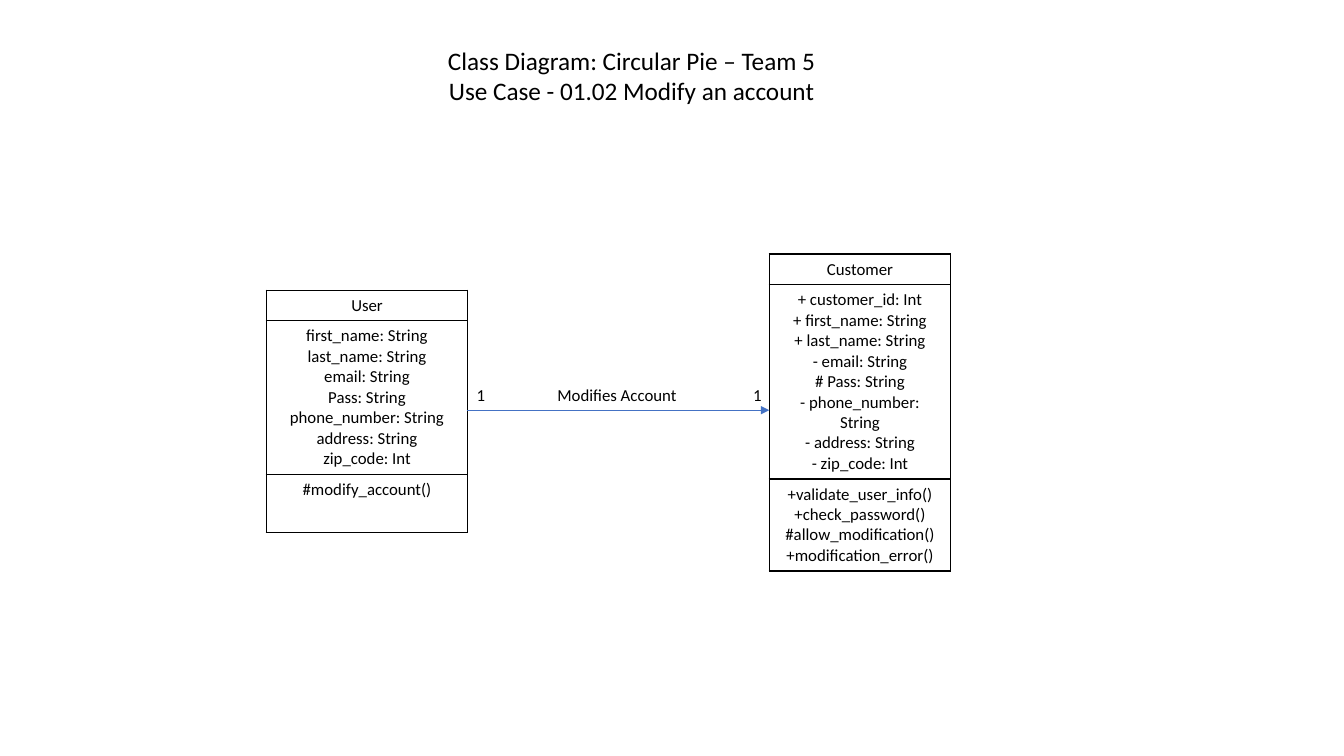
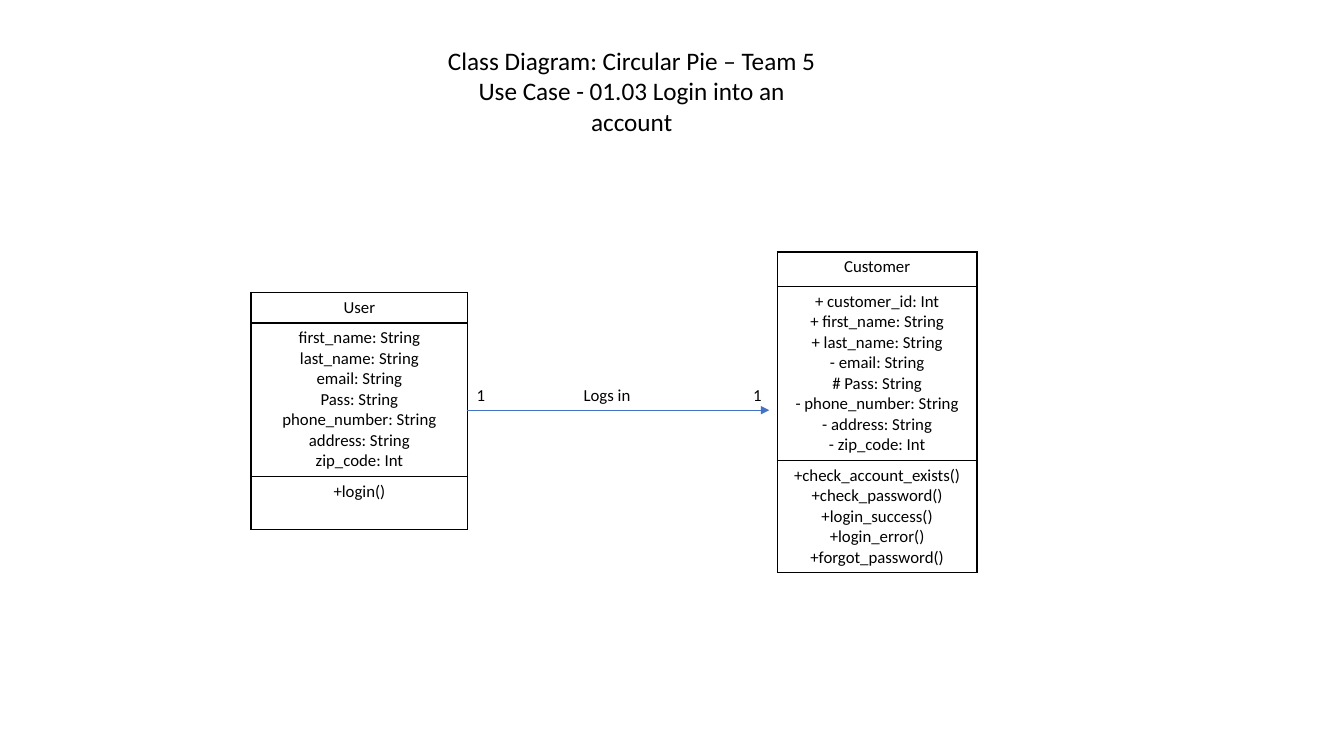
from lxml.etree import SubElement
from pptx import Presentation
from pptx.dml.color import RGBColor
from pptx.enum.shapes import MSO_CONNECTOR
from pptx.enum.text import MSO_ANCHOR, MSO_AUTO_SIZE, PP_ALIGN
from pptx.oxml.ns import qn
from pptx.util import Inches, Pt

FONT = "Calibri"
BLACK = "000000"
BLUE = "4472C4"
TITLE_BOX = (4.26, 0.4, 4.01, 0.71)
ARROW_BOX = (4.63, 4.07, 3.0)
LABEL_HEIGHT = 0.3
COUNT_WIDTH = 0.29

USER_FIELDS = [
    "first_name: String", "last_name: String", "email: String", "Pass: String",
    "phone_number: String", "address: String", "zip_code: Int",
]
CUSTOMER_FIELDS = [
    "+ customer_id: Int", "+ first_name: String", "+ last_name: String",
    "- email: String", "# Pass: String", "- phone_number: String",
    "- address: String", "- zip_code: Int",
]

DIAGRAMS = [
    {
        "use_case": "Use Case - 01.02 Modify an account",
        "user": ((2.64, 2.88, 2.0), (0.3, 1.5, 0.58), ["#modify_account()"]),
        "customer": ((7.63, 2.52, 1.8), (0.3, 1.9, 0.9), [
            "+validate_user_info()", "+check_password()",
            "#allow_modification()", "+modification_error()",
        ]),
        "label": ("Modifies Account", 5.43, 1.4),
    },
    {
        "use_case": "Use Case - 01.03 Login into an account",
        "user": ((2.49, 2.9, 2.15), (0.3, 1.5, 0.53), ["+login()"]),
        "customer": ((7.71, 2.5, 1.98), (0.34, 1.7, 1.1), [
            "+check_account_exists()", "+check_password()", "+login_success()",
            "+login_error()", "+forgot_password()",
        ]),
        "label": ("Logs in", 5.69, 0.67),
    },
]


def color(value):
    return RGBColor.from_string(value)


def write(frame, lines, size=12, align=PP_ALIGN.CENTER, fill=BLACK):
    for index, line in enumerate(lines):
        para = frame.paragraphs[0] if index == 0 else frame.add_paragraph()
        para.alignment = align
        span = para.add_run()
        span.text = line
        span.font.name = FONT
        span.font.size = Pt(size)
        span.font.color.rgb = color(fill)


def add_title(page, use_case, box):
    title = page.shapes.title
    title.left, title.top, title.width, title.height = map(Inches, box)
    frame = title.text_frame
    frame.auto_size = MSO_AUTO_SIZE.NONE
    frame.word_wrap = False
    frame.vertical_anchor = MSO_ANCHOR.TOP
    write(frame, ["Class Diagram: Circular Pie – Team 5", use_case], size=18)


def add_label(page, text, left, top, width):
    box = page.shapes.add_textbox(*map(Inches, (left, top, width, LABEL_HEIGHT)))
    box.text_frame.word_wrap = False
    write(box.text_frame, [text], align=PP_ALIGN.LEFT)


def add_borders(cell):
    properties = cell._tc.get_or_add_tcPr()
    for side in ("a:lnL", "a:lnR", "a:lnT", "a:lnB"):
        line = SubElement(properties, qn(side), w=str(Pt(1)))
        fill = SubElement(line, qn("a:solidFill"))
        SubElement(fill, qn("a:srgbClr"), val=BLACK)


def add_class(page, name, fields, box, heights, methods):
    left, top, width = box
    bounds = map(Inches, (left, top, width, sum(heights)))
    table = page.shapes.add_table(3, 1, *bounds).table
    table.first_row = False
    table.horz_banding = False
    for index, lines in enumerate(([name], fields, methods)):
        table.rows[index].height = Inches(heights[index])
        cell = table.cell(index, 0)
        add_borders(cell)
        cell.fill.background()
        write(cell.text_frame, lines)


def add_association(page, label, box):
    left, top, width = box
    right = left + width
    ends = map(Inches, (left, top, right, top))
    arrow = page.shapes.add_connector(MSO_CONNECTOR.STRAIGHT, *ends)
    arrow.line.color.rgb = color(BLUE)
    arrow.line.width = Pt(0.5)
    SubElement(arrow.line._ln, qn("a:tailEnd"), type="triangle")
    SubElement(arrow._element.spPr, qn("a:effectLst"))
    label_top = top - LABEL_HEIGHT
    text, label_left, label_width = label
    add_label(page, text, label_left, label_top, label_width)
    for count_left in (left, right - COUNT_WIDTH + 0.03):
        add_label(page, "1", count_left, label_top, COUNT_WIDTH)


def add_diagram(deck, diagram):
    page = deck.slides.add_slide(deck.slide_layouts.get_by_name("Title Only"))
    add_title(page, diagram["use_case"], TITLE_BOX)
    add_class(page, "Customer", CUSTOMER_FIELDS, *diagram["customer"])
    add_class(page, "User", USER_FIELDS, *diagram["user"])
    add_association(page, diagram["label"], ARROW_BOX)


def main():
    deck = Presentation()
    deck.slide_width = Inches(13.33)
    deck.slide_height = Inches(7.5)
    for diagram in DIAGRAMS:
        add_diagram(deck, diagram)
    deck.save("out.pptx")


if __name__ == "__main__":
    main()
